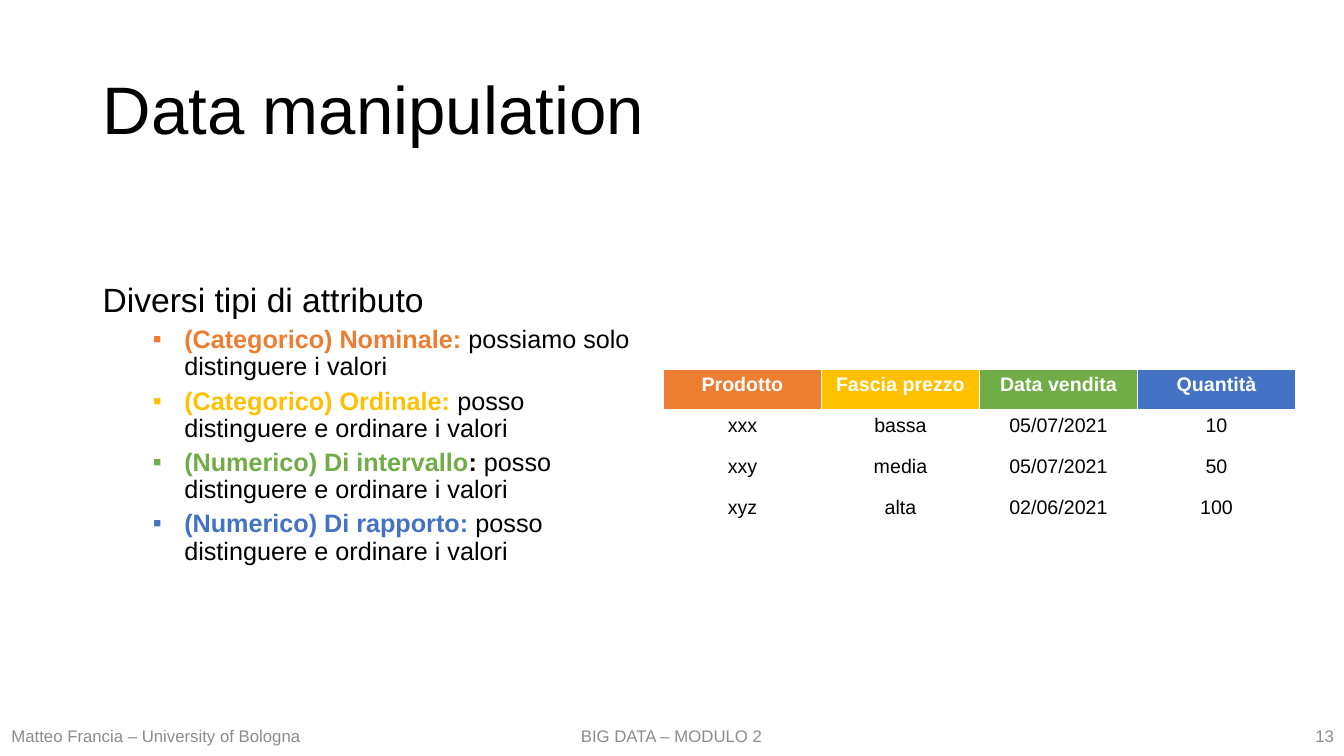
import dataclasses

import lxml.etree
import pptx
import pptx.dml.color
import pptx.enum.text
import pptx.oxml.ns
import pptx.util

Cm = pptx.util.Cm
Pt = pptx.util.Pt
Align = pptx.enum.text.PP_ALIGN
FACE = "Arial"
HUES = {
    "black": "000000", "white": "FFFFFF", "gray": "8C8C8C",
    "orange": "ED7D31", "gold": "FFC000", "green": "70AD47", "blue": "4472C4",
}


@dataclasses.dataclass
class Kind:
    """A type of attribute, with the table column that shows it."""
    hue: str
    name: str
    mark: str
    rest: str
    head: str
    vals: list[str]


@dataclasses.dataclass
class Foot:
    text: str
    left: float
    width: float
    align: Align


SORT = "posso distinguere e ordinare i valori"
KINDS = [
    Kind("orange", "(Categorico) Nominale: ", "", "possiamo solo distinguere i valori",
         "Prodotto", ["xxx", "xxy", "xyz"]),
    Kind("gold", "(Categorico) Ordinale: ", "", SORT,
         "Fascia prezzo", ["bassa", "media", "alta"]),
    Kind("green", "(Numerico) Di intervallo", ": ", SORT,
         "Data vendita", ["05/07/2021", "05/07/2021", "02/06/2021"]),
    Kind("blue", "(Numerico) Di rapporto: ", "", SORT,
         "Quantità", ["10", "50", "100"]),
]
FEET = [
    Foot("Matteo Francia – University of Bologna", 0, 7.87, Align.CENTER),
    Foot("BIG DATA – MODULO 2", 13.28, 7.29, Align.CENTER),
    Foot("13", 26.25, 7.62, Align.RIGHT),
]


def tint(hue: str) -> pptx.dml.color.RGBColor:
    return pptx.dml.color.RGBColor.from_string(HUES[hue])


def style(font, size: float, hue: str, bold: bool = False) -> None:
    font.name, font.size, font.bold = FACE, Pt(size), bold
    font.color.rgb = tint(hue)


def place(shape, left: float, top: float, width: float, height: float) -> None:
    shape.left, shape.top = Cm(left), Cm(top)
    shape.width, shape.height = Cm(width), Cm(height)


def frame(shape):
    """Wrap the text, keep its size and centre it vertically."""
    text = shape.text_frame
    text.word_wrap = True
    text.auto_size = pptx.enum.text.MSO_AUTO_SIZE.NONE
    text.vertical_anchor = pptx.enum.text.MSO_ANCHOR.MIDDLE
    return text


def bullet(para, left: float, indent: float, sign: str = "", hue: str = "black") -> None:
    """Set the indent and the bullet; no sign means no bullet."""
    props = para._p.get_or_add_pPr()
    props.set("marL", str(Cm(left)))
    props.set("indent", str(Cm(indent)))

    def add(base, tag: str, **attrs: str):
        return lxml.etree.SubElement(base, pptx.oxml.ns.qn(tag), **attrs)

    if sign:
        add(add(props, "a:buClr"), "a:srgbClr", val=HUES[hue])
        add(props, "a:buFont", typeface=FACE)
        add(props, "a:buChar", char=sign)
    else:
        add(props, "a:buNone")


def add_title(slide) -> None:
    shape = slide.shapes.title
    place(shape, 2.33, 1.01, 29.21, 3.68)
    para = frame(shape).paragraphs[0]
    para.text = "Data manipulation"
    para.alignment = Align.LEFT
    para.line_spacing = 0.9
    style(para.font, 48, "black")


def add_list(slide) -> None:
    shape = slide.placeholders[1]
    place(shape, 2.33, 5.07, 14.4, 12.09)
    text = frame(shape)
    text.margin_bottom = Cm(0.96)
    lead = text.paragraphs[0]
    lead.text = "Diversi tipi di attributo"
    lead.line_spacing, lead.space_before = 0.9, Pt(10)
    bullet(lead, 0, 0)
    style(lead.font, 24, "black")
    for kind in KINDS:
        para = text.add_paragraph()
        para.level = 1
        para.line_spacing, para.space_before = 0.9, Pt(5)
        bullet(para, 2.06, -0.79, "▪", kind.hue)
        parts = [(kind.name, kind.hue, True), (kind.mark, "black", True),
                 (kind.rest, "black", False)]
        for words, hue, bold in parts:
            if words:
                run = para.add_run()
                run.text = words
                style(run.font, 18, hue, bold)


def add_grid(slide) -> None:
    rows = 1 + len(KINDS[0].vals)
    grid = slide.shapes.add_table(
        rows, len(KINDS), Cm(16.72), Cm(9.3), Cm(15.93), Cm(1.03 * rows)).table
    grid.horz_banding = False
    for col, kind in enumerate(KINDS):
        for row, words in enumerate([kind.head, *kind.vals]):
            cell = grid.cell(row, col)
            top = row == 0
            if top:
                cell.fill.solid()
                cell.fill.fore_color.rgb = tint(kind.hue)
            else:
                cell.fill.background()
            para = cell.text_frame.paragraphs[0]
            para.text = words
            para.alignment = Align.CENTER
            style(para.font, 14, "white" if top else "black", top)


def add_foot(slide, foot: Foot) -> None:
    shape = slide.shapes.add_textbox(0, 0, 0, 0)
    place(shape, foot.left, 18.04, foot.width, 1.01)
    para = frame(shape).paragraphs[0]
    para.text = foot.text
    para.alignment = foot.align
    style(para.font, 12, "gray")


def main() -> None:
    deck = pptx.Presentation()
    deck.slide_width, deck.slide_height = Cm(33.87), Cm(19.05)
    slide = deck.slides.add_slide(deck.slide_layouts[1])
    # Title and list
    add_title(slide)
    add_list(slide)
    # Sample table
    add_grid(slide)
    # Footer line
    for foot in FEET:
        add_foot(slide, foot)
    deck.save("out.pptx")


if __name__ == "__main__":
    main()
